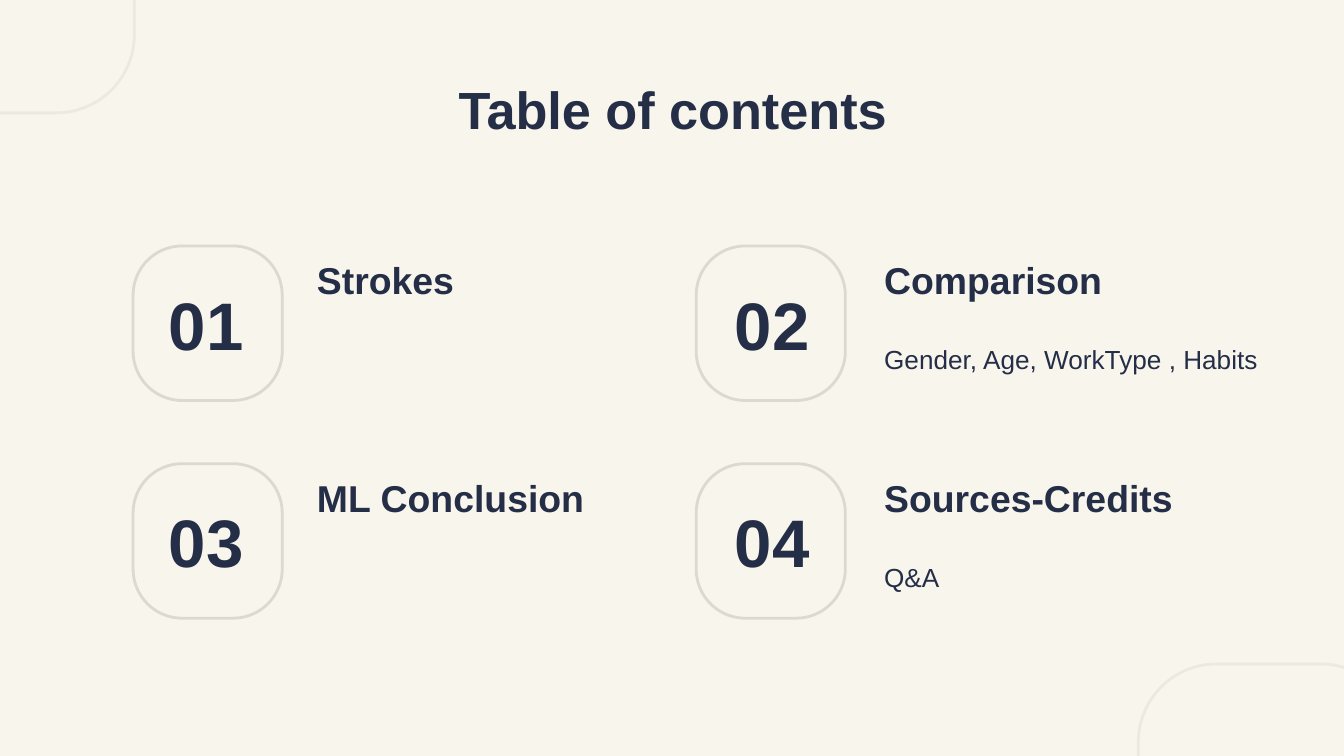
from pptx import Presentation
from pptx.dml.color import RGBColor
from pptx.enum.shapes import MSO_SHAPE as Shape
from pptx.enum.text import MSO_ANCHOR as Anchor, PP_ALIGN as Align
from pptx.util import Inches, Pt

INK = "252E47"


def color(hex_text):
    return RGBColor.from_string(hex_text)


def add_text(text, left, top, width, height, size, bold=True, align=Align.LEFT):
    box = page.shapes.add_textbox(Inches(left), Inches(top), Inches(width), Inches(height))
    frame = box.text_frame
    frame.word_wrap = True
    frame.vertical_anchor = Anchor.MIDDLE
    frame.margin_left = frame.margin_right = Inches(0.1)
    frame.margin_top = frame.margin_bottom = Inches(0.1)
    para = frame.paragraphs[0]
    para.alignment = align
    span = para.add_run()
    span.text = text
    span.font.name = "Arial"
    span.font.size = Pt(size)
    span.font.bold = bold
    span.font.color.rgb = color(INK)


def add_outline(left, top, width, height, rounding, line_color):
    outline = page.shapes.add_shape(
        Shape.ROUNDED_RECTANGLE, Inches(left), Inches(top), Inches(width), Inches(height))
    outline.adjustments[0] = rounding
    outline.shadow.inherit = False
    outline.fill.background()
    outline.line.color.rgb = color(line_color)
    outline.line.width = Pt(1.5)


# Widescreen 16:9 page
deck = Presentation()
deck.slide_width = Inches(10)
deck.slide_height = Inches(10 * 9 / 16)
page = deck.slides.add_slide(deck.slide_layouts[6])
page.background.fill.solid()
page.background.fill.fore_color.rgb = color("F8F5EC")

# Corner decorations
for left, top in [(-0.94, -1.48), (8.47, 4.94)]:
    add_outline(left, top, 1.94, 2.32, 0.3, "ECE9E1")

# Title
add_text("Table of contents", 0.79, 0.49, 8.43, 0.63, 28, align=Align.CENTER)

# Sections in a two by two grid: heading, details, details width
sections = [
    ("Strokes", "", 0),
    ("Comparison", "Gender, Age, WorkType , Habits", 3.15),
    ("ML Conclusion", "", 0),
    ("Sources-Credits", "Q&A", 2.52),
]
columns = [(0.99, 0.96, 2.26), (5.18, 5.17, 6.48)]  # frame, number, heading
for index, (heading, details, details_width) in enumerate(sections):
    row, column = divmod(index, 2)
    frame_left, number_left, heading_left = columns[column]
    top = 1.83 + row * 1.62
    add_outline(frame_left, top, 1.11, 1.15, 0.33, "DADACE")
    add_text(f"{index + 1:02d}", number_left, top, 1.15, 1.15, 36, align=Align.CENTER)
    add_text(heading, heading_left, top - 0.04, 2.52, 0.58, 20)
    if details:
        add_text(details, heading_left, top + 0.55, details_width, 0.58, 14, bold=False)

deck.save("out.pptx")
